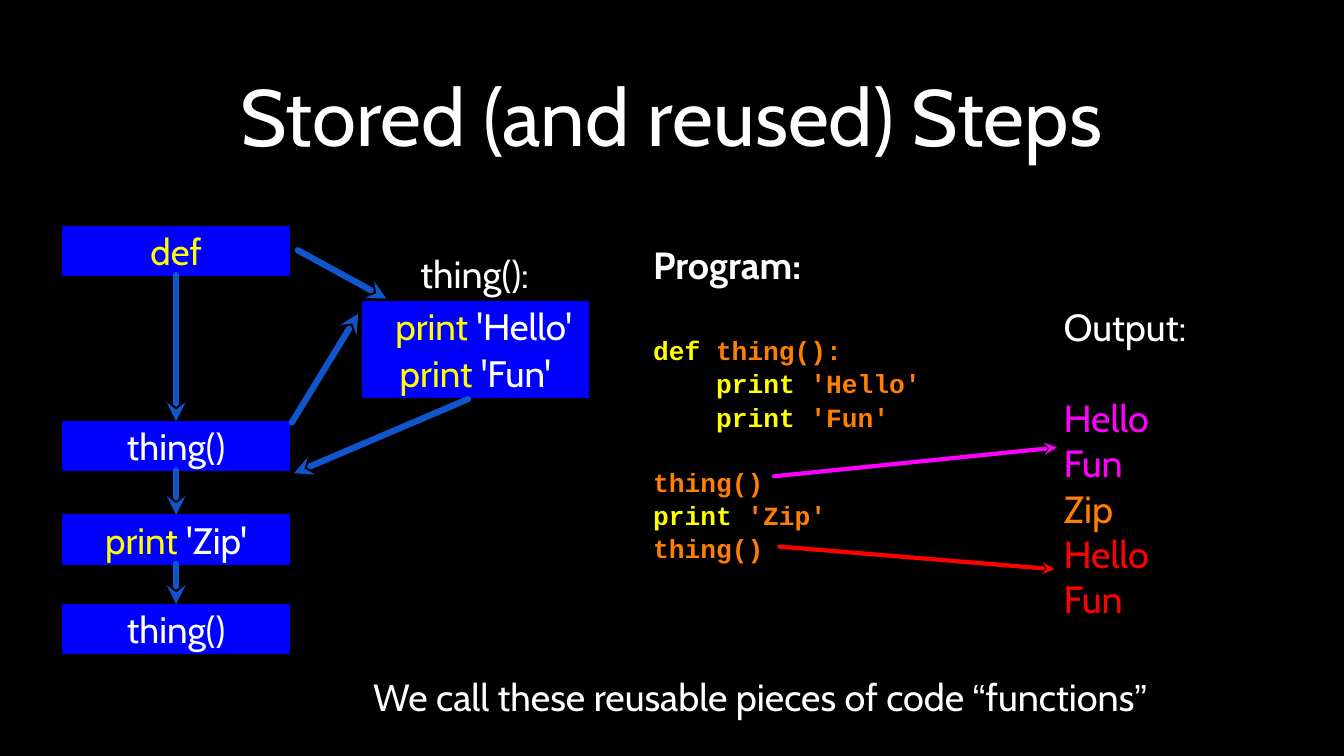
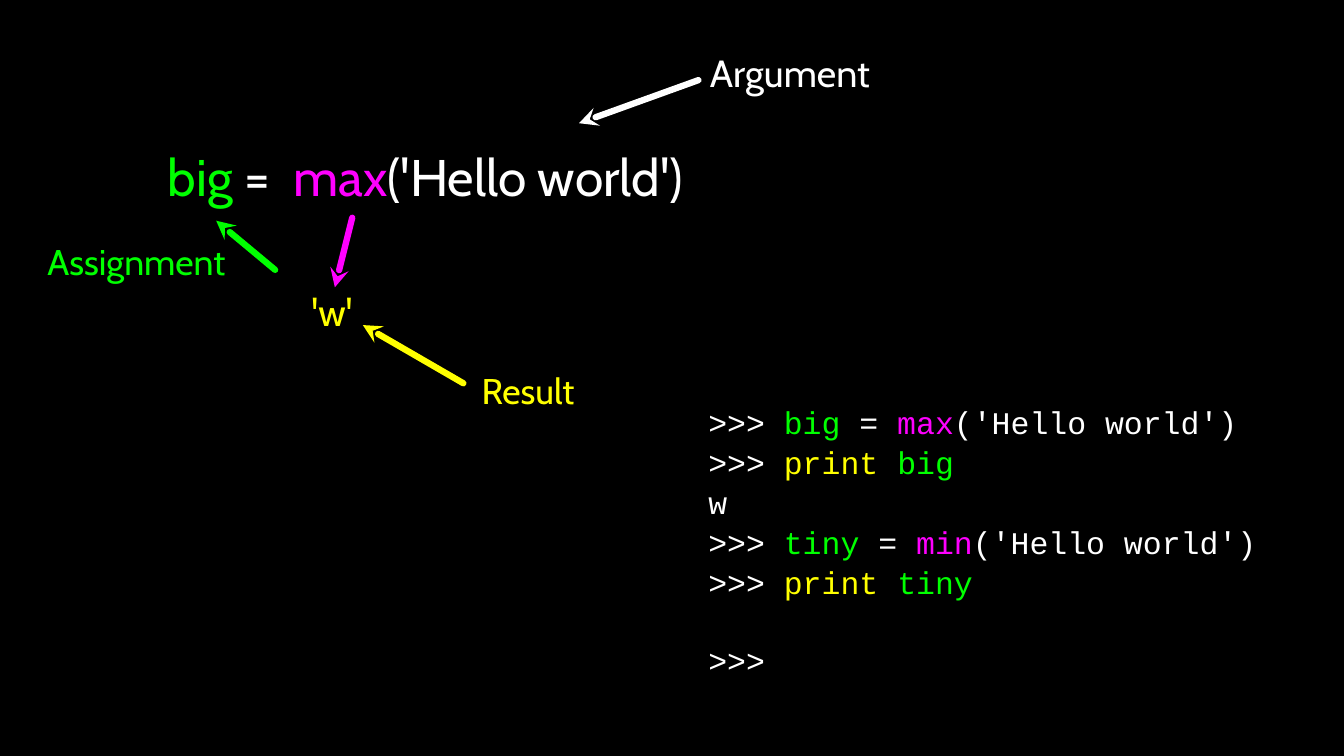
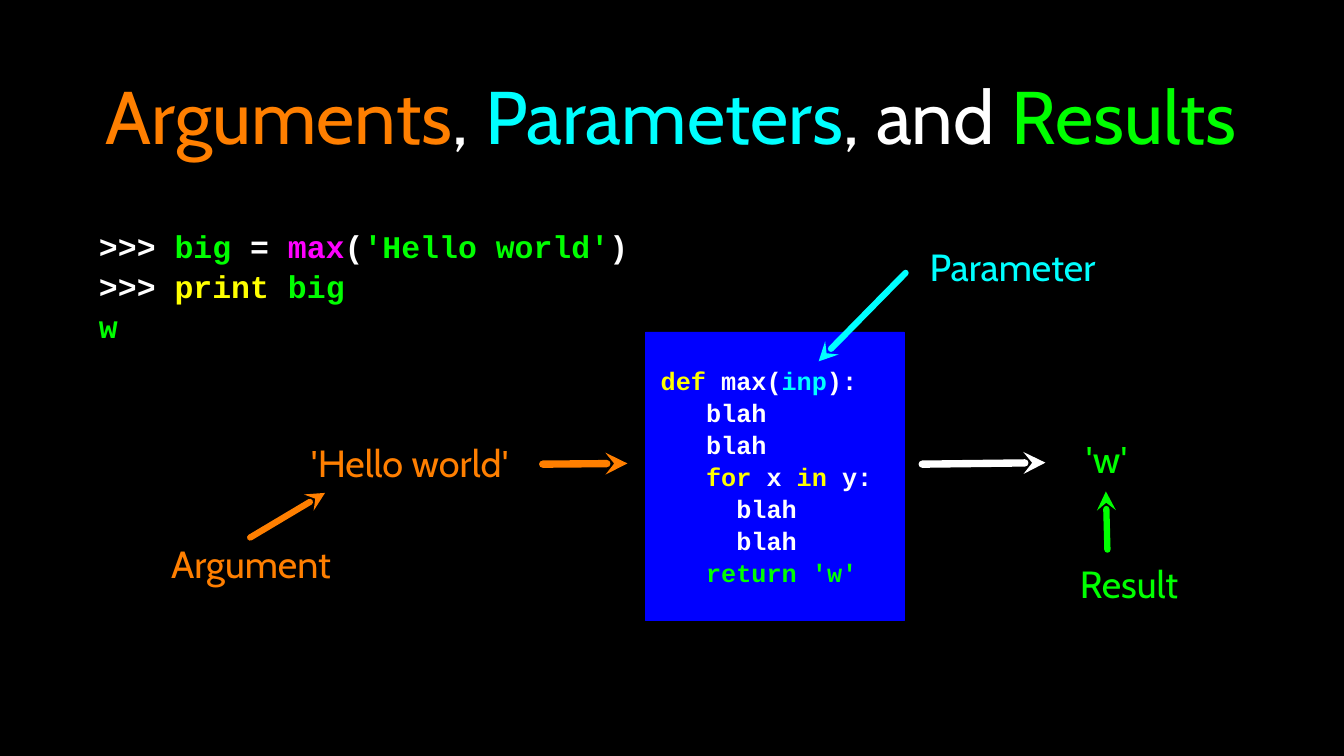
from dataclasses import dataclass

from lxml import etree
from pptx import Presentation
from pptx.dml.color import RGBColor
from pptx.enum import shapes, text
from pptx.oxml.ns import qn
from pptx.util import Inches, Pt

BLACK = RGBColor(0x00, 0x00, 0x00)
WHITE = RGBColor(0xFF, 0xFF, 0xFF)
BLUE = RGBColor(0x00, 0x00, 0xFF)
STEEL = RGBColor(0x11, 0x55, 0xCC)
YELLOW = RGBColor(0xFF, 0xFF, 0x00)
ORANGE = RGBColor(0xFF, 0x7F, 0x00)
MAGENTA = RGBColor(0xFF, 0x00, 0xFF)
RED = RGBColor(0xFF, 0x00, 0x00)
GREEN = RGBColor(0x00, 0xFF, 0x00)
CYAN = RGBColor(0x00, 0xFF, 0xFF)

PROSE, CODE, QUOTE = "Cabin", "Courier New", "Arial"
LEFT, CENTER = text.PP_ALIGN.LEFT, text.PP_ALIGN.CENTER
TITLE_AREA = (1.26, 0.26, 15.24, 2.51)
CODE_SPACING = 1.06
CODE_CHAR_WIDTH = 0.6  # share of the type size


@dataclass
class Line:
    """Runs are (text, colour) or (text, colour, font); indent is in code characters."""
    runs: list
    size: float = 36
    font: str = PROSE
    bold: bool = False
    indent: float = 0
    before: float = 0
    align: int = LEFT


def prose(words, colour=WHITE, **style):
    return Line([(words, colour)], **style)


def label(words, colour, size=36):
    return [prose(words, colour, size=size, align=CENTER)]


def quoted(words, colour):
    return [Line([("'", colour, QUOTE), (words, colour), ("'", colour, QUOTE)], align=CENTER)]


def code(*runs, size, bold=True, indent=0, before=0):
    return Line(list(runs), size, CODE, bold, indent, before)


# Stored steps
STEPS_TITLE = [prose("Stored (and reused) Steps", size=76, align=CENTER)]
PRINT = ("print", YELLOW)
STEP_BOXES = [  # left, top, runs, indent
    (0.83, 2.99, [("def", YELLOW)], 0),
    (0.83, 5.57, [("thing()", WHITE)], 0),
    (0.83, 6.81, [PRINT, (" 'Zip'", WHITE)], 0),
    (0.83, 7.99, [("thing()", WHITE)], 0),
    (4.79, 3.99, [PRINT, (" 'Hello'", WHITE)], 0.75),
    (4.79, 4.61, [PRINT, (" 'Fun'", WHITE)], 0),
]
MAIN_STEPS = 4
STEP_SIZE = (3, 0.65)
PROGRAM = [
    prose("Program:", bold=True),
    code(("def", YELLOW), (" thing():", ORANGE), size=25, before=43),
    code(PRINT, (" 'Hello'", ORANGE), size=25, indent=4),
    code(PRINT, (" 'Fun'", ORANGE), size=25, indent=4),
    code(("thing()", ORANGE), size=25, before=30),
    code(PRINT, (" 'Zip'", ORANGE), size=25),
    code(("thing()", ORANGE), size=25),
]
OUTPUT = [
    prose("Output:"),
    prose("Hello", MAGENTA, before=43),
    prose("Fun", MAGENTA),
    prose("Zip", ORANGE),
    prose("Hello", RED),
    prose("Fun", RED),
]
FUNCTIONS_NOTE = [Line([
    ("We call these reusable pieces of code ", WHITE), ("“", WHITE, QUOTE),
    ("functions", WHITE), ("”", WHITE, QUOTE)], align=CENTER)]
STEPS_TEXTS = [
    ((14.07, 4.07, 3.46, 4.1), OUTPUT),
    ((8.64, 3.25, 3.58, 4.16), PROGRAM),
    ((4.23, 8.87, 11.65, 0.68), FUNCTIONS_NOTE),
    ((5.51, 3.28, 1.54, 0.68), label("thing():", WHITE)),
]
STEPS_ARROWS = [  # tail, tip, colour, width
    ((10.24, 6.3), (13.98, 5.92), MAGENTA, 4),
    ((10.31, 7.23), (13.95, 7.53), RED, 4),
    ((3.86, 5.59), (4.74, 4.15), STEEL, 6),
    ((6.19, 5.28), (3.89, 6.26), STEEL, 6),
    ((3.94, 3.31), (5.11, 3.95), STEEL, 6),
]

# Calling max
PROMPT = (">>> ", WHITE)
EQUALS = (" = ", WHITE)
HELLO_CALL = ("('Hello world')", WHITE)


def session(*runs, bold=False, before=0):
    return code(*runs, size=30, bold=bold, before=before)


CALL_TEXTS = [
    ((9.37, 5.33, 7.64, 3.61), [
        session(PROMPT, ("big", GREEN), EQUALS, ("max", MAGENTA), HELLO_CALL),
        session(PROMPT, ("print ", YELLOW), ("big", GREEN)),
        session(("w", WHITE)),
        session(PROMPT, ("tiny", GREEN), EQUALS, ("min", MAGENTA), HELLO_CALL),
        session(PROMPT, ("print ", YELLOW), ("tiny", GREEN)),
        session((">>>", WHITE), before=36),
    ]),
    ((2.22, 1.88, 7.42, 0.89), [Line([
        ("big", GREEN), (" =  ", WHITE), ("max", MAGENTA), HELLO_CALL], size=49)]),
    ((9.37, 0.62, 2.16, 0.68), label("Argument", WHITE)),
    ((4.12, 3.78, 0.67, 0.68), [prose("'w'", YELLOW)]),
    ((6.29, 4.82, 1.39, 0.68), label("Result", YELLOW, 34)),
    ((0.37, 3.12, 2.87, 0.68), label("Assignment", GREEN, 34)),
]
CALL_ARROWS = [
    ((9.24, 1.06), (7.66, 1.63), WHITE, 6),
    ((6.13, 5.07), (4.8, 4.3), YELLOW, 6),
    ((3.64, 3.57), (2.86, 2.92), GREEN, 6),
    ((4.66, 2.88), (4.43, 3.8), MAGENTA, 6),
]

# Arguments, parameters and results
FLOW_TITLE = [Line([
    ("Arguments", ORANGE), (", ", WHITE), ("Parameters", CYAN),
    (", and ", WHITE), ("Results", GREEN)], size=71, align=CENTER)]
MAX_AREA = (8.54, 4.39, 3.42, 3.81)
MAX_BODY = [code(*runs, size=24, indent=indent) for indent, runs in [
    (1, [("def", YELLOW), (" max(", WHITE), ("inp", CYAN), ("):", WHITE)]),
    (4, [("blah", WHITE)]),
    (4, [("blah", WHITE)]),
    (4, [("for", YELLOW), (" x ", WHITE), ("in", YELLOW), (" y:", WHITE)]),
    (6, [("blah", WHITE)]),
    (6, [("blah", WHITE)]),
    (4, [("return 'w'", GREEN)]),
]]
FLOW_TEXTS = [
    ((1.31, 2.86, 8.26, 1.82), [
        session(PROMPT, ("big", GREEN), EQUALS, ("max", MAGENTA), ("(", WHITE),
                ("'Hello world'", GREEN), (")", WHITE), bold=True),
        session(PROMPT, ("print ", YELLOW), ("big", GREEN), bold=True),
        session(("w", GREEN), bold=True),
    ]),
    ((3.86, 5.78, 3.12, 0.68), quoted("Hello world", ORANGE)),
    ((14.29, 5.72, 0.7, 0.68), quoted("w", GREEN)),
    ((2.24, 7.11, 2.16, 0.68), label("Argument", ORANGE)),
    ((12.28, 3.18, 2.23, 0.68), label("Parameter", CYAN)),
    ((14.24, 7.38, 1.39, 0.68), label("Result", GREEN)),
]
FLOW_ARROWS = [
    ((7.18, 6.14), (8.3, 6.13), ORANGE, 7),
    ((12.2, 6.14), (13.83, 6.12), WHITE, 7),
    ((3.31, 7.11), (4.3, 6.52), ORANGE, 6),
    ((11.98, 3.61), (10.83, 4.78), CYAN, 6),
    ((14.65, 7.27), (14.63, 6.5), GREEN, 6),
]


def set_margins(frame, margin):
    frame.margin_left = frame.margin_right = Inches(margin)
    frame.margin_top = frame.margin_bottom = Inches(margin)


def write(frame, lines):
    for number, line in enumerate(lines):
        paragraph = frame.add_paragraph() if number else frame.paragraphs[0]
        paragraph.alignment = line.align
        paragraph.font.size = Pt(line.size)
        paragraph.font.name = line.font
        paragraph.font.bold = line.bold
        if line.font == CODE:
            paragraph.line_spacing = CODE_SPACING
        if line.before:
            paragraph.space_before = Pt(line.before)
        if line.indent:
            margin = Pt(line.indent * line.size * CODE_CHAR_WIDTH)
            paragraph._p.get_or_add_pPr().set("marL", str(margin))
        for words, colour, *font in line.runs:
            run = paragraph.add_run()
            run.text = words
            run.font.color.rgb = colour
            if font:
                run.font.name = font[0]


def fill_frame(shape, lines):
    frame = shape.text_frame
    frame.word_wrap = True
    frame.vertical_anchor = text.MSO_ANCHOR.MIDDLE
    set_margins(frame, 0)
    write(frame, lines)


def add_texts(slide, texts):
    for area, lines in texts:
        fill_frame(slide.shapes.add_textbox(*map(Inches, area)), lines)


def add_box(slide, area, lines):
    box = slide.shapes.add_shape(shapes.MSO_SHAPE.RECTANGLE, *map(Inches, area))
    box.shadow.inherit = False
    box.fill.solid()
    box.fill.fore_color.rgb = BLUE
    box.line.color.rgb = BLUE
    box.line.width = Pt(0.75)
    fill_frame(box, lines)
    return box


def add_arrow(slide, tail, tip, colour, width):
    arrow = slide.shapes.add_connector(
        shapes.MSO_CONNECTOR.STRAIGHT, *map(Inches, (*tail, *tip)))
    arrow.line.color.rgb = colour
    arrow.line.width = Pt(width)
    outline = arrow.line._get_or_add_ln()
    outline.set("cap", "rnd")
    etree.SubElement(outline, qn("a:round"))
    etree.SubElement(outline, qn("a:tailEnd"), type="stealth")
    etree.SubElement(arrow._element.spPr, qn("a:effectLst"))
    return arrow


def add_arrows(slide, arrows):
    for arrow in arrows:
        add_arrow(slide, *arrow)


def style_template(prs):
    """Set the black background and the title style that the slides inherit."""
    background = prs.slide_master.background.fill
    background.solid()
    background.fore_color.rgb = BLACK
    layout = prs.slide_layouts[5]
    title = layout.placeholders[0]
    title.left, title.top, title.width, title.height = map(Inches, TITLE_AREA)
    frame = title.text_frame
    frame.vertical_anchor = text.MSO_ANCHOR.MIDDLE
    frame.auto_size = text.MSO_AUTO_SIZE.NONE
    set_margins(frame, 0.04)
    return layout


def build_steps(slide):
    write(slide.shapes.title.text_frame, STEPS_TITLE)
    add_texts(slide, STEPS_TEXTS)
    boxes = [
        add_box(slide, (left, top, *STEP_SIZE),
                [Line(runs, size=35, indent=indent, align=CENTER)])
        for left, top, runs, indent in STEP_BOXES]
    main = boxes[:MAIN_STEPS]
    for upper, lower in zip(main, main[1:]):
        flow = add_arrow(slide, (0, 0), (0, 0), STEEL, 6)
        flow.begin_connect(upper, 2)
        flow.end_connect(lower, 0)
    add_arrows(slide, STEPS_ARROWS)


def build_call(slide):
    add_texts(slide, CALL_TEXTS)
    add_arrows(slide, CALL_ARROWS)


def build_flow(slide):
    write(slide.shapes.title.text_frame, FLOW_TITLE)
    add_box(slide, MAX_AREA, MAX_BODY)
    add_texts(slide, FLOW_TEXTS)
    add_arrows(slide, FLOW_ARROWS)


def main():
    prs = Presentation()
    prs.slide_width, prs.slide_height = Inches(17.78), Inches(10)
    titled = style_template(prs)
    untitled = prs.slide_layouts[6]
    for layout, build in [(titled, build_steps), (untitled, build_call), (titled, build_flow)]:
        build(prs.slides.add_slide(layout))
    prs.save("out.pptx")


if __name__ == "__main__":
    main()
